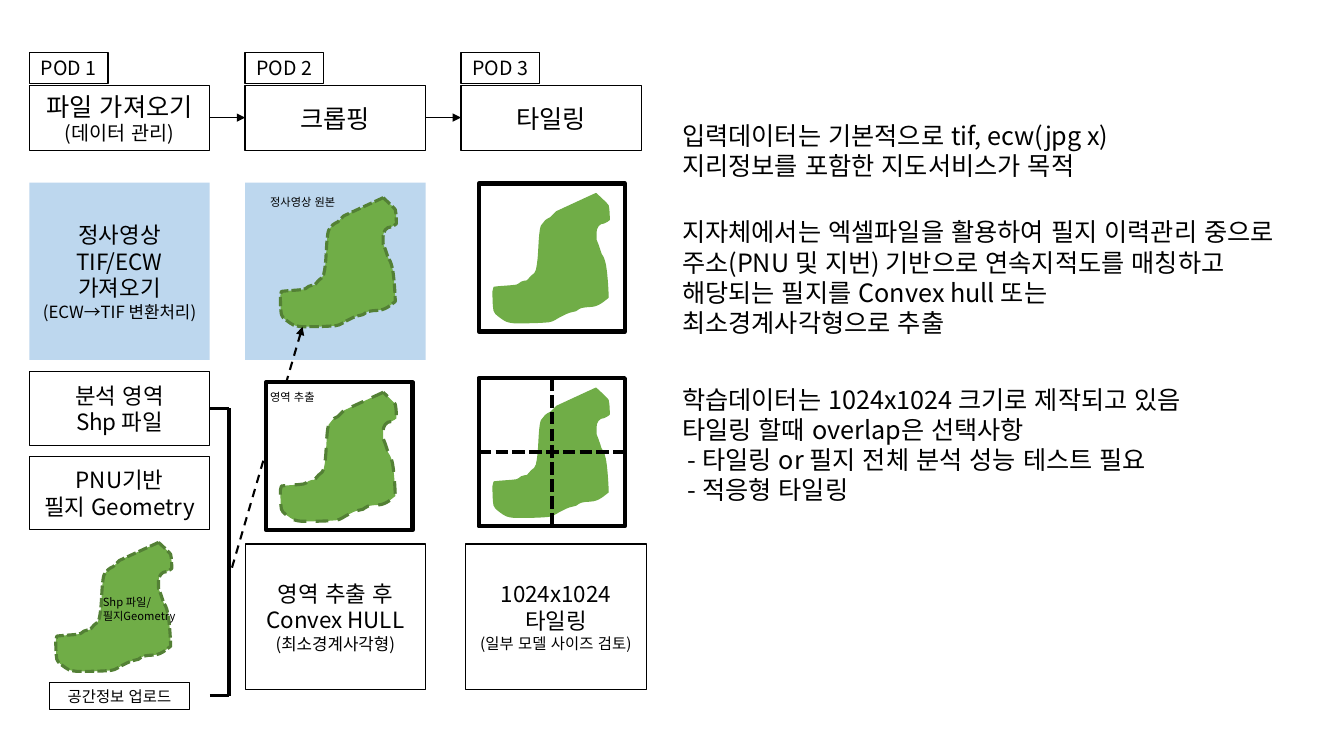
from lxml.etree import SubElement
from pptx import Presentation
from pptx.dml.color import RGBColor
from pptx.enum.dml import MSO_LINE
from pptx.enum.lang import MSO_LANGUAGE_ID as LANG
from pptx.enum.shapes import MSO_CONNECTOR as CONN, MSO_SHAPE as SHAPE
from pptx.enum.text import MSO_ANCHOR as ANCHOR, MSO_AUTO_SIZE as AUTO, PP_ALIGN as ALIGN
from pptx.oxml.ns import qn
from pptx.util import Pt

FONT = "Noto Sans CJK KR"
COLORS = {"ink": "000000", "paper": "FFFFFF", "sky": "BDD7EE", "land": "70AD47", "edge": "538035"}
COL_W, PITCH = 128.9, 154.15
FRAME_W, FRAME_H = 104.4, 105.8

LAND = [
    (102, 0),
    (89, 6), (76, 12), (63, 18), (61, 20), (59, 22), (57, 24),
    (55, 25), (53, 26), (52, 27), (51, 29), (49, 30), (48, 32),
    (48, 33), (47, 34), (47, 36), (45, 49), (46, 63), (43, 76),
    (43, 79), (40, 80), (38, 82), (31, 90), (36, 85), (28, 88),
    (26, 89), (25, 91), (23, 91), (16, 92), (9, 92), (1, 93),
    (1, 94), (0, 96), (0, 97), (0, 104), (0, 110), (1, 116),
    (2, 118), (3, 120), (5, 121), (13, 127), (13, 127), (21, 128),
    (33, 128), (44, 128), (55, 127), (59, 127), (65, 122), (68, 121),
    (76, 117), (74, 118), (82, 116), (83, 115), (85, 114), (87, 113),
    (95, 111), (97, 113), (104, 110), (108, 108), (110, 106), (114, 103),
    (114, 102), (113, 74), (110, 66), (110, 64), (108, 62), (107, 60),
    (106, 57), (105, 54), (104, 51), (103, 49), (103, 48), (102, 46),
    (102, 41), (101, 36), (104, 32), (105, 29), (108, 30), (110, 29),
    (112, 28), (114, 27), (115, 26), (115, 21), (115, 17), (114, 12),
    (113, 10), (104, 2), (102, 0),
]

NOTES = [
    (82.1, 339.1, 51.1, ["입력데이터는 기본적으로 tif, ecw(jpg x)", "지리정보를 포함한 지도서비스가 목적"]),
    (151.2, 483.1, 94.3, [
        "지자체에서는 엑셀파일을 활용하여 필지 이력관리 중으로",
        "주소(PNU 및 지번) 기반으로 연속지적도를 매칭하고",
        "해당되는 필지를 Convex hull 또는",
        "최소경계사각형으로 추출",
    ]),
    (270.7, 401, 94.3, [
        "학습데이터는 1024x1024 크기로 제작되고 있음",
        "타일링 할때 overlap은 선택사항",
        " - 타일링 or 필지 전체 분석 성능 테스트 필요",
        " - 적응형 타일링",
    ]),
]


def rgb(name):
    """Return the named colour."""
    return RGBColor.from_string(COLORS[name])


def write(tf, paras, align):
    """Fill a text frame with (text, size) paragraphs."""
    for i, (text, size) in enumerate(paras):
        p = tf.paragraphs[0] if i == 0 else tf.add_paragraph()
        p.alignment = align
        for j, line in enumerate(text.split("\n")):
            if j:
                p.add_line_break()
            r = p.add_run()
            r.text = line
            r.font.name, r.font.size = FONT, Pt(size)
            r.font.language_id = LANG.KOREAN
            r.font.color.rgb = rgb("ink")
            SubElement(r.font._element, qn("a:ea"), typeface=FONT)


def add_box(slide, x, y, w, h, paras=(), fill=None, line=0.75):
    """Add a rectangle with centred text."""
    sp = slide.shapes.add_shape(SHAPE.RECTANGLE, Pt(x), Pt(y), Pt(w), Pt(h))
    sp.shadow.inherit = False
    if fill:
        sp.fill.solid()
        sp.fill.fore_color.rgb = rgb(fill)
    else:
        sp.fill.background()
    if line:
        sp.line.color.rgb, sp.line.width = rgb("ink"), Pt(line)
    else:
        sp.line.fill.background()
    sp.text_frame.vertical_anchor = ANCHOR.MIDDLE
    write(sp.text_frame, paras, ALIGN.CENTER)


def add_text(slide, x, y, w, h, paras, wrap=True):
    """Add a left-aligned text box."""
    tf = slide.shapes.add_textbox(Pt(x), Pt(y), Pt(w), Pt(h)).text_frame
    tf.word_wrap, tf.auto_size = wrap, AUTO.SHAPE_TO_FIT_TEXT
    write(tf, paras, ALIGN.LEFT)


def add_line(slide, x1, y1, x2, y2, width, dash=None, arrow=False):
    """Add a straight line, with an arrowhead at its end if asked."""
    sp = slide.shapes.add_connector(CONN.STRAIGHT, Pt(x1), Pt(y1), Pt(x2), Pt(y2))
    sp.line.color.rgb, sp.line.width = rgb("ink"), Pt(width)
    if dash:
        sp.line.dash_style = dash
    spPr = sp._element.spPr
    if arrow:
        SubElement(spPr.find(qn("a:ln")), qn("a:tailEnd"), type="triangle")
    SubElement(spPr, qn("a:effectLst"))


def add_land(slide, x, y, dash=None):
    """Draw the land parcel as a closed outline of cubic curves."""
    fb = slide.shapes.build_freeform(*LAND[0], scale=Pt(0.72))
    fb.add_line_segments(LAND[1:], close=True)
    sp = fb.convert_to_shape(Pt(x), Pt(y))
    segments = list(sp._element.iter(qn("a:lnTo")))
    outline = segments[0].getparent()
    closing = outline.find(qn("a:close"))
    for i in range(0, len(segments), 3):
        curve = SubElement(outline, qn("a:cubicBezTo"))
        for segment in segments[i:i + 3]:
            curve.append(segment[0])
            outline.remove(segment)
    outline.append(closing)
    sp.shadow.inherit = False
    sp.fill.solid()
    sp.fill.fore_color.rgb = rgb("land")
    sp.line.color.rgb = rgb("edge" if dash else "land")
    sp.line.width = Pt(2.25 if dash else 1)
    if dash:
        sp.line.dash_style = dash


def pod_header(slide, x, y, number, paras, last):
    """Draw a pod tag, its title and the arrow to the next pod."""
    add_box(slide, x, y + 23.6, COL_W, 46.6, paras, "paper", 1)
    add_box(slide, x, y, 56.2, 22.5, [(f"POD {number}", 14)], "paper", 1)
    if not last:
        add_line(slide, x + COL_W, y + 46.6, x + PITCH, y + 46.6, 1, arrow=True)


def import_column(slide, x, y):
    """Draw the file import steps and their bracket."""
    paras = [("정사영상", 16), ("TIF/ECW", 16), ("가져오기", 16), ("(ECW→TIF 변환처리)", 12)]
    add_box(slide, x, y, COL_W, 126.7, paras, "sky", 0)
    add_box(slide, x, y + 135.2, COL_W, 52.4, [("분석 영역", 16), ("Shp 파일", 16)])
    add_box(slide, x, y + 195.7, COL_W, 52.4, [("PNU기반", 16), ("필지 Geometry", 16)])
    right, spine, top, bottom = x + COL_W, x + 142.6, y + 161.3, y + 366.5
    add_line(slide, right, top, spine, top, 2.25)
    add_line(slide, spine, top, spine, bottom, 2.25)
    add_line(slide, right, bottom, spine, bottom, 2.25)
    add_land(slide, x + 18.9, y + 257, MSO_LINE.SQUARE_DOT)
    add_text(slide, x + 45.4, y + 291.6, 69.1, 36, [("Shp 파일/", 8), ("필지Geometry", 8)])
    add_box(slide, x + 14.4, y + 357.1, 100.1, 19.4, [("공간정보 업로드", 11)])


def crop_column(slide, x, y):
    """Draw the source area, the extracted area and the result."""
    add_box(slide, x, y, COL_W, 126.7, fill="sky", line=0)
    add_land(slide, x + 25.2, y + 10.8, MSO_LINE.SQUARE_DOT)
    add_line(slide, x - 9.4, y + 275.1, x + 41, y + 103, 1.5, MSO_LINE.DASH, True)
    add_box(slide, x, y + 258.2, COL_W, 103.7, [("영역 추출 후\nConvex HULL", 16), ("(최소경계사각형)", 12)])
    add_text(slide, x + 10.8, y + 5.8, 67.7, 17.3, [("정사영상 원본", 8)])
    add_box(slide, x + 15.1, y + 142.6, FRAME_W, FRAME_H, fill="paper", line=3)
    add_land(slide, x + 25.2, y + 149.8, MSO_LINE.DASH)
    add_text(slide, x + 10.8, y + 144.7, 67.7, 17.3, [("영역 추출", 8)])


def tiling_column(slide, x, y):
    """Draw the framed parcel, its tiles and the result."""
    left, top = x + 12.7, y + 139.7
    for frame_y in (y + 0.7, top):
        add_land(slide, x + 23, frame_y + 7.2)
        add_box(slide, left, frame_y, FRAME_W, FRAME_H, line=3)
    mid_x, mid_y = left + FRAME_W / 2, top + FRAME_H / 2
    add_box(slide, x + 3.4, y + 258.2, COL_W, 103.7, [("1024x1024\n타일링", 16), ("(일부 모델 사이즈 검토)", 11)])
    add_line(slide, mid_x, top, mid_x, top + FRAME_H, 3, MSO_LINE.SQUARE_DOT)
    add_line(slide, left, mid_y, left + FRAME_W, mid_y, 3, MSO_LINE.SQUARE_DOT)


def notes_column(slide, x):
    """Write the remarks beside the flow."""
    for y, w, h, lines in NOTES:
        add_text(slide, x, y, w, h, [(line, 18) for line in lines], wrap=False)


def main():
    """Build and save the slide."""
    prs = Presentation()
    prs.slide_width, prs.slide_height = Pt(960), Pt(540)
    slide = prs.slides.add_slide(prs.slide_layouts[6])
    pods = [
        ([("파일 가져오기", 18), ("(데이터 관리)", 14)], import_column),
        ([("크롭핑", 18)], crop_column),
        ([("타일링", 18)], tiling_column),
    ]
    for i, (title, column) in enumerate(pods):
        x = 20.95 + i * PITCH
        pod_header(slide, x, 37.4, i + 1, title, i == len(pods) - 1)
        column(slide, x, 130.4)
    notes_column(slide, 480.2)
    prs.save("out.pptx")


if __name__ == "__main__":
    main()
